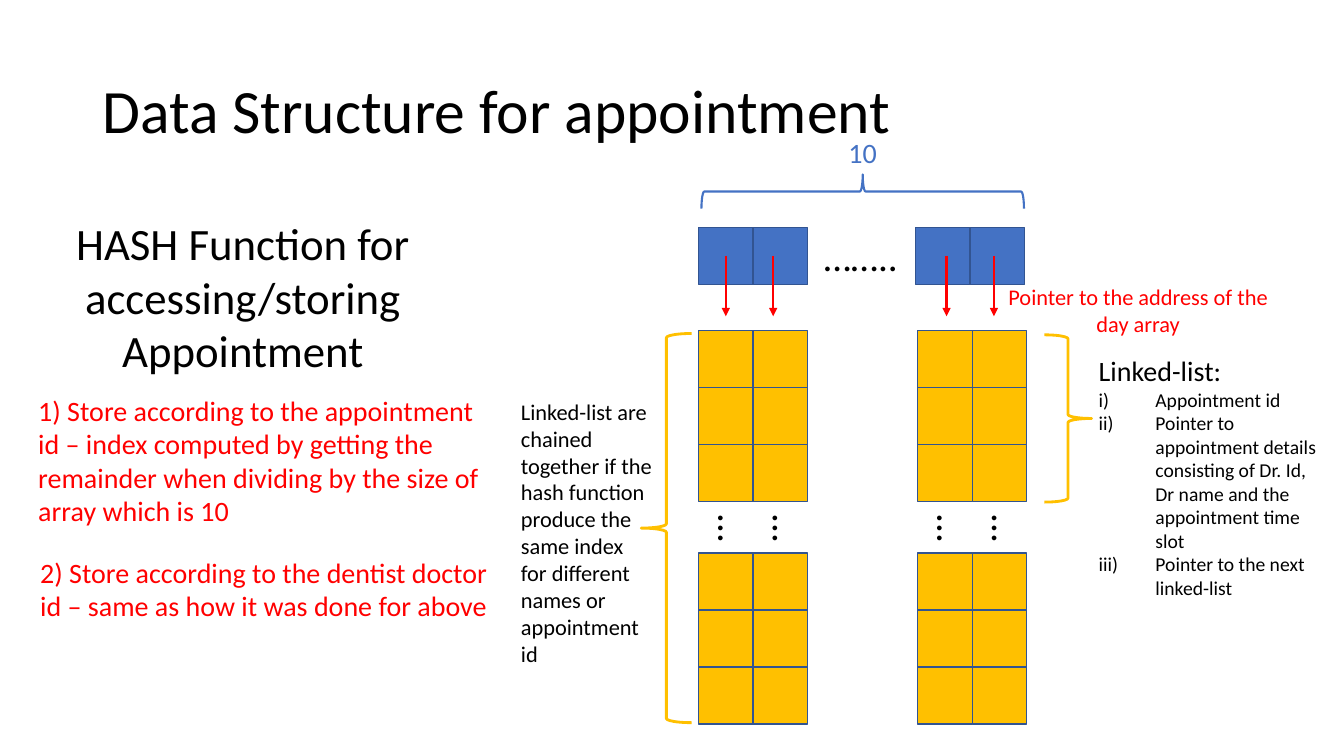
import collections
import pptx
import pptx.util
import pptx.dml.color
import pptx.enum.dml
import pptx.enum.shapes
import pptx.enum.text
import pptx.oxml.ns
import lxml.etree

Pt = pptx.util.Pt
Align = pptx.enum.text.PP_ALIGN
Shape = pptx.enum.shapes.MSO_SHAPE
Box = collections.namedtuple("Box", "left top width height")
Theme = collections.namedtuple(
    "Theme", "font ink blue edge gold red heading subheading dots body note item")
THEME = Theme(font="Calibri", ink="000000", blue="4472C4", edge="325491",
              gold="FFC000", red="FF0000", heading=44, subheading=32, dots=28,
              body=20, note=16, item=14)
CELL_WIDTH = 39
CELL_HEIGHT = 40.7


def rgb(value):
    return pptx.dml.color.RGBColor.from_string(value)


def lengths(box):
    return [Pt(value) for value in box]


def add_xml(parent, tag, **attributes):
    return lxml.etree.SubElement(parent, pptx.oxml.ns.qn(tag), attributes)


def move(holder, box):
    holder.left, holder.top, holder.width, holder.height = lengths(box)


def write(paragraph, text, size=THEME.body, color=THEME.ink, align=Align.LEFT, spacing=1.0):
    paragraph.alignment = align
    paragraph.line_spacing = spacing
    paragraph.space_before = Pt(0)
    run = paragraph.add_run()
    run.text = text
    run.font.name = THEME.font
    run.font.size = Pt(size)
    run.font.color.rgb = rgb(color)


def label(slide, box, text, rotation=0, **style):
    caption = slide.shapes.add_textbox(*lengths(box))
    caption.rotation = rotation
    caption.text_frame.word_wrap = True
    write(caption.text_frame.paragraphs[0], text, **style)


def cell(slide, left, top, color):
    square = slide.shapes.add_shape(
        Shape.RECTANGLE, *lengths((left, top, CELL_WIDTH, CELL_HEIGHT)))
    square.shadow.inherit = False
    square.fill.solid()
    square.fill.fore_color.rgb = rgb(color)
    square.line.color.rgb = rgb(THEME.edge)
    square.line.width = Pt(1)


def brace(slide, box, color, weight, rotation=0):
    bracket = slide.shapes.add_shape(Shape.RIGHT_BRACE, *lengths(box))
    bracket.rotation = rotation
    bracket.shadow.inherit = False
    bracket.fill.background()
    bracket.line.color.rgb = rgb(color)
    bracket.line.width = Pt(weight)


def pointer(slide, x, top, length):
    arrow = slide.shapes.add_connector(
        pptx.enum.shapes.MSO_CONNECTOR.STRAIGHT, Pt(x), Pt(top), Pt(x), Pt(top + length))
    arrow.line.color.rgb = rgb(THEME.red)
    arrow.line.width = Pt(1.5)
    properties = arrow.line._get_or_add_ln()
    add_xml(properties, "a:tailEnd", type="triangle")
    add_xml(arrow._element.spPr, "a:effectLst")


def heading(slide, box):
    title = slide.shapes.title
    move(title, box)
    title.text_frame.vertical_anchor = pptx.enum.text.MSO_ANCHOR.MIDDLE
    write(title.text_frame.paragraphs[0], "Data Structure for appointment",
          size=THEME.heading, spacing=0.9)


def hash_rules(slide, box):
    left, top, width, height = box
    label(slide, Box(left, top, 306.7, 124), "HASH Function for accessing/storing Appointment",
          size=THEME.subheading, align=Align.CENTER)
    label(slide, Box(left, top + 126.7, width, 104),
          "1) Store according to the appointment id – index computed by getting the "
          "remainder when dividing by the size of array which is 10", color=THEME.red)
    label(slide, Box(left + 1.4, top + 242.6, width, 55),
          "2) Store according to the dentist doctor id – same as how it was done for above",
          color=THEME.red)


def hash_array(slide, box):
    left, top, width, height = box
    label(slide, Box(left + 79, top, 76.3, 32), "10", color=THEME.blue, align=Align.CENTER)
    brace(slide, Box(left + 105, top - 71.3, 24.5, 230.4), THEME.blue, 1.5, rotation=270)
    cells_top = top + 69.8
    for pair_left in (left, left + width - 2 * CELL_WIDTH):
        for column in range(2):
            cell(slide, pair_left + column * CELL_WIDTH, cells_top, THEME.blue)
    label(slide, Box(left + 77.8, cells_top, 76.3, 41), "……..",
          size=THEME.dots, align=Align.CENTER)
    for arrow_left in (19.4, 53.3, 177.1, 211):
        pointer(slide, left + arrow_left, cells_top + 20, 43.2)
    label(slide, Box(left + 201, top + 105.8, 226, 46), "Pointer to the address of the day array",
          size=THEME.note, color=THEME.red, align=Align.CENTER)


def chain(slide, box):
    left, top, width, height = box
    block_height = 3 * CELL_HEIGHT
    for block_top in (top, top + height - block_height):
        for row in range(3):
            cell(slide, left, block_top + row * CELL_HEIGHT, THEME.gold)
    label(slide, Box(left - 13, top + height / 2 - 19.6, 76.3, 41), "...", rotation=90,
          size=THEME.dots, align=Align.CENTER)


def chains(slide, box):
    left, top, width, height = box
    for pair_left in (left, left + width - 2 * CELL_WIDTH):
        for column in range(2):
            chain(slide, Box(pair_left + column * CELL_WIDTH, top, CELL_WIDTH, height))
    brace(slide, Box(left + 247, top + 3, 33.8, 119.5), THEME.gold, 2)
    brace(slide, Box(left - 41, top + 2, 36, 278), THEME.gold, 2, rotation=180)
    label(slide, Box(left - 134, top + 44.5, 109, 201),
          "Linked-list are chained together if the hash function produce the same index "
          "for different names or appointment id", size=THEME.note)


def node_fields(slide, box):
    fields = slide.placeholders[1]
    move(fields, box)
    frame = fields.text_frame
    frame.auto_size = pptx.enum.text.MSO_AUTO_SIZE.NONE
    write(frame.paragraphs[0], "Linked-list:")
    opening = frame.paragraphs[0]._p.get_or_add_pPr()
    opening.set("marL", "0")
    opening.set("indent", "0")
    add_xml(opening, "a:buNone")
    for field in ("Appointment id",
                  "Pointer to appointment details consisting of Dr. Id, Dr name and the "
                  "appointment time slot",
                  "Pointer to the next linked-list"):
        entry = frame.add_paragraph()
        write(entry, field, size=THEME.item)
        numbering = entry._p.get_or_add_pPr()
        numbering.set("marL", str(Pt(40.5)))
        numbering.set("indent", str(-Pt(40.5)))
        add_xml(numbering, "a:buFont", typeface=THEME.font)
        add_xml(numbering, "a:buAutoNum", type="romanLcParenR")


deck = pptx.Presentation()
deck.slide_width, deck.slide_height = Pt(960), Pt(540)
appointment = deck.slides.add_slide(deck.slide_layouts[1])
heading(appointment, Box(66, 28.8, 828, 104.4))
hash_rules(appointment, Box(20.2, 150.5, 337, 298))
hash_array(appointment, Box(499, 92.9, 233, 152))
chains(appointment, Box(499, 236.2, 234.5, 281))
node_fields(appointment, Box(777.6, 249.1, 173.5, 184.3))
deck.save("out.pptx")
